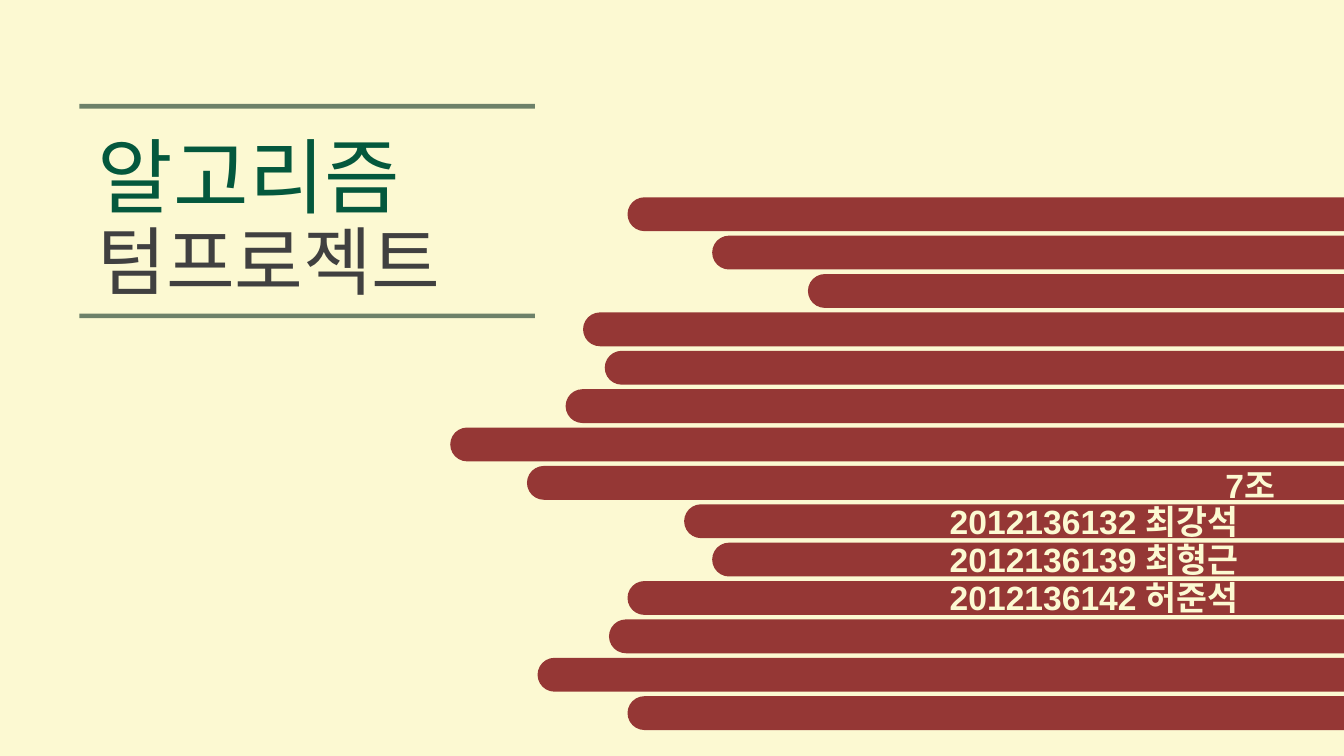
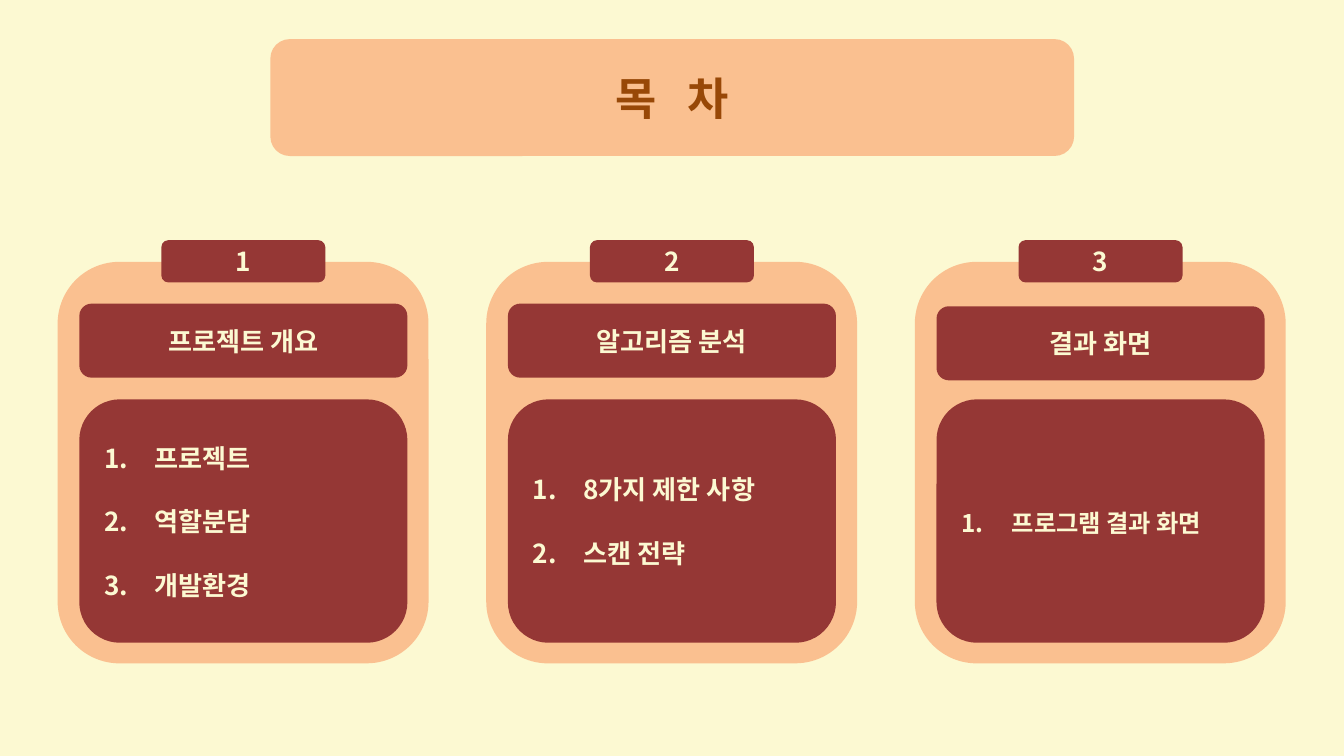
"""Build the title and contents slides of an algorithm term project."""
from dataclasses import dataclass

from lxml import etree
from pptx import Presentation
from pptx.dml.color import RGBColor
from pptx.enum.shapes import MSO_CONNECTOR, MSO_SHAPE
from pptx.enum.text import MSO_ANCHOR, MSO_AUTO_SIZE, PP_ALIGN
from pptx.oxml.ns import qn
from pptx.util import Cm, Pt

ROUNDED = MSO_SHAPE.ROUNDED_RECTANGLE
STRAIGHT = MSO_CONNECTOR.STRAIGHT
MIDDLE = MSO_ANCHOR.MIDDLE
GROW = MSO_AUTO_SIZE.SHAPE_TO_FIT_TEXT
LEFT, CENTER, JUSTIFY = PP_ALIGN.LEFT, PP_ALIGN.CENTER, PP_ALIGN.JUSTIFY


@dataclass(frozen=True)
class Theme:
    cream: RGBColor = RGBColor.from_string("FCF9D2")
    red: RGBColor = RGBColor.from_string("953735")
    peach: RGBColor = RGBColor.from_string("FAC090")
    brown: RGBColor = RGBColor.from_string("984807")
    green: RGBColor = RGBColor.from_string("04583D")
    gray: RGBColor = RGBColor.from_string("404040")
    rule: RGBColor = RGBColor.from_string("395543")
    cover_face: str = "Arial"
    contents_face: str = "Noto Sans CJK KR"
    cover_title: Pt = Pt(44)
    cover_subtitle: Pt = Pt(40)
    heading: Pt = Pt(24)
    member: Pt = Pt(18)
    body: Pt = Pt(14)
    small: Pt = Pt(13)


theme = Theme()


def write(frame, lines, size, color, face, align, bold=True):
    frame.word_wrap = True
    frame.text = "\n".join(lines)
    for paragraph in frame.paragraphs:
        paragraph.alignment = align
        font = paragraph.font
        font.size, font.bold, font.name = size, bold, face
        font.color.rgb = color
        defaults = paragraph._p.pPr.find(qn("a:defRPr"))
        etree.SubElement(defaults, qn("a:ea"), typeface=face)


def add_block(slide, left, top, width, height, color, lines=(),
              size=theme.body, text_color=theme.cream, align=CENTER):
    block = slide.shapes.add_shape(ROUNDED, Cm(left), Cm(top), Cm(width), Cm(height))
    block.shadow.inherit = False
    block.fill.solid()
    block.fill.fore_color.rgb = color
    block.line.fill.background()
    if lines:
        block.text_frame.vertical_anchor = MIDDLE
        write(block.text_frame, lines, size, text_color, theme.contents_face, align)
    return block


deck = Presentation()
deck.slide_width, deck.slide_height = Cm(25.4), Cm(14.29)
cover, contents = [deck.slides.add_slide(deck.slide_layouts[6]) for _ in range(2)]
for slide in (cover, contents):
    slide.background.fill.solid()
    slide.background.fill.fore_color.rgb = theme.cream

stripes = [
    (11.86, 17.42), (13.46, 14.66), (15.27, 12.12), (11.02, 15.93), (11.43, 15.93),
    (10.69, 16.05), (8.51, 19.3), (9.96, 18.29), (12.93, 15.93), (13.46, 17.32),
    (11.86, 16.99), (11.51, 16.74), (10.16, 16.74), (11.86, 16.05),
]
for row, (left, width) in enumerate(stripes):
    stripe = add_block(cover, left, 3.73 + 9.43 * row / 13, width, 0.64, theme.red)
    stripe.adjustments[0] = 0.5

cover_texts = [
    ("텀프로젝트", 1.6, 3.94, 8.36, 1.96, theme.cover_subtitle, theme.gray),
    ("알고리즘", 1.6, 2.24, 8.4, 2.13, theme.cover_title, theme.green),
    ("2012136132 최강석", 17.7, 9.35, 6.83, 1.02, theme.member, theme.cream),
    ("2012136139 최형근", 17.7, 10.07, 6.83, 1.02, theme.member, theme.cream),
    ("2012136142 허준석", 17.7, 10.79, 6.83, 1.02, theme.member, theme.cream),
    ("7조", 22.91, 8.66, 1.65, 1.02, theme.member, theme.cream),
]
for text, left, top, width, height, size, color in cover_texts:
    frame = cover.shapes.add_textbox(Cm(left), Cm(top), Cm(width), Cm(height)).text_frame
    is_member = size == theme.member
    write(frame, [text], size, color, theme.cover_face, JUSTIFY, is_member)
    frame.auto_size = GROW
    if not is_member:
        fill = frame.paragraphs[0]._p.pPr.find(qn("a:defRPr")).find(qn("a:solidFill"))
        effects = etree.Element(qn("a:effectLst"))
        shadow = etree.SubElement(effects, qn("a:outerShdw"), blurRad="38100",
                                  dist="38100", dir="2700000", algn="tl")
        tint = etree.SubElement(shadow, qn("a:srgbClr"), val="000000")
        etree.SubElement(tint, qn("a:alpha"), val="43000")
        fill.addnext(effects)

for height in (5.97, 2.01):
    rule = cover.shapes.add_connector(STRAIGHT, Cm(1.5), Cm(height), Cm(10.11), Cm(height))
    rule.line.width = Pt(2.5)
    rule.line.color.rgb = theme.rule
    properties = rule._element.spPr
    tint = next(properties.iter(qn("a:srgbClr")))
    etree.SubElement(tint, qn("a:alpha"), val="72000")
    etree.SubElement(properties, qn("a:effectLst"))

heading = add_block(contents, 5.11, 0.74, 15.19, 2.21, theme.peach, ["목 차"],
                    theme.heading, theme.brown)
heading.text_frame.paragraphs[0]._p.pPr.find(qn("a:defRPr")).set("spc", "540")

chapters = [
    ("프로젝트 개요", 5.74, ["프로젝트", "역할분담", "개발환경"], theme.body),
    ("알고리즘 분석", 5.74, ["8가지 제한 사항", "스캔 전략"], theme.body),
    ("결과 화면", 5.79, ["프로그램 결과 화면"], theme.small),
]
for index, (title, title_top, topics, topic_size) in enumerate(chapters):
    left = 1.09 + 8.1 * index
    add_block(contents, left, 4.95, 7.01, 7.59, theme.peach)
    add_block(contents, left + 1.96, 4.54, 3.1, 0.8, theme.red, [str(index + 1)])
    add_block(contents, left + 0.41, title_top, 6.2, 1.4, theme.red, [title])
    panel = add_block(contents, left + 0.41, 7.55, 6.2, 4.6, theme.red, topics,
                      topic_size, align=LEFT)
    for order, paragraph in enumerate(panel.text_frame.paragraphs):
        paragraph.line_spacing = Pt(17)
        paragraph.space_before = Pt(17 if order else 0)
        properties = paragraph._p.pPr
        properties.set("marL", str(Cm(0.95)))
        properties.set("indent", str(Cm(-0.95)))
        numbering = etree.Element(qn("a:buAutoNum"), type="arabicPeriod")
        properties.find(qn("a:defRPr")).addprevious(numbering)

deck.save("out.pptx")
